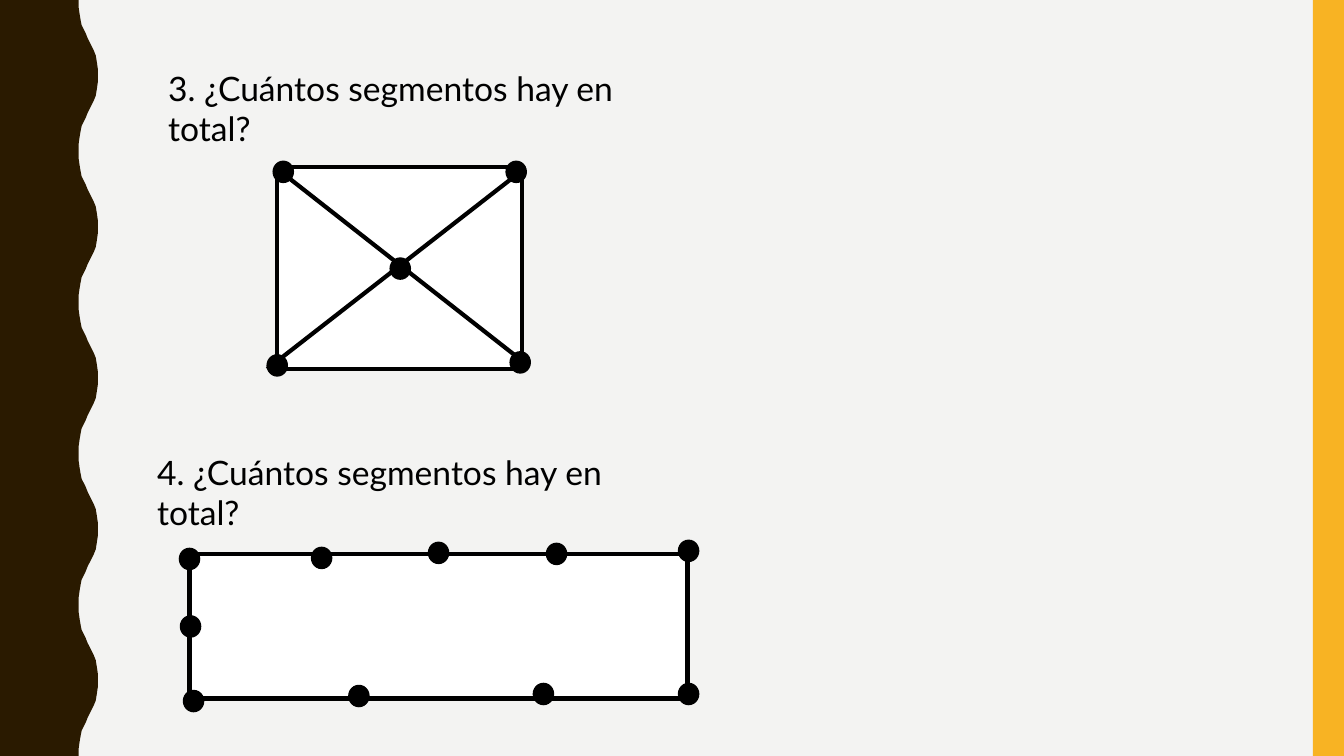
"""Build a slide with two segment-counting exercises."""
import pptx
import pptx.util
import pptx.dml.color
import pptx.enum.shapes
import pptx.enum.text
import pptx.oxml

Inches = pptx.util.Inches
Pt = pptx.util.Pt
MSO_SHAPE = pptx.enum.shapes.MSO_SHAPE


def color(value):
    return pptx.dml.color.RGBColor.from_string(value)


def add_shape(kind, x, y, w, h, fill, line=None):
    sp = s.shapes.add_shape(kind, Inches(x), Inches(y), Inches(w), Inches(h))
    sp.shadow.inherit = False
    sp.fill.solid()
    sp.fill.fore_color.rgb = color(fill)
    if line:
        sp.line.color.rgb = color("000000")
        sp.line.width = Pt(line)
    else:
        sp.line.fill.background()


prs = pptx.Presentation()
prs.slide_width = Inches(13.33)
prs.slide_height = Inches(7.5)
s = prs.slides.add_slide(prs.slide_layouts[6])
s.background.fill.solid()
s.background.fill.fore_color.rgb = color("F3F3F2")

half_wave = [(0.78, 0), (0.78, 0.07), (0.79, 0.14), (0.8, 0.2), (0.81, 0.25),
             (0.83, 0.29), (0.85, 0.33), (0.87, 0.38), (0.89, 0.42), (0.91, 0.46),
             (0.93, 0.5), (0.95, 0.55), (0.96, 0.61), (0.97, 0.68), (0.97, 0.75)]
wave = half_wave + [(x, 1.5 - y) for x, y in half_wave[-2::-1]]
points = [(x, y + 1.5 * i) for i in range(5) for x, y in wave] + [(0, 7.5)]
fb = s.shapes.build_freeform(0, 0)
fb.add_line_segments([(Inches(x), Inches(y)) for x, y in points], close=True)
sp = fb.convert_to_shape()
sp.shadow.inherit = False
sp.fill.solid()
sp.fill.fore_color.rgb = color("2A1A00")
sp.line.fill.background()

add_shape(MSO_SHAPE.RECTANGLE, 13.02, 0, 0.31, 7.5, "F8B323")

for x, y, text in [(1.57, 0.62, "3. ¿Cuántos segmentos hay en total?"),
                   (1.46, 4.43, "4. ¿Cuántos segmentos hay en total?")]:
    tf = s.shapes.add_textbox(Inches(x), Inches(y), Inches(5.1), Inches(0.5)).text_frame
    tf.word_wrap = True
    tf.auto_size = pptx.enum.text.MSO_AUTO_SIZE.SHAPE_TO_FIT_TEXT
    r = tf.paragraphs[0].add_run()
    r.text = text
    r.font.name = "Lato"
    r.font.size = Pt(24)
    r.font.color.rgb = color("000000")

square_dots = [(2.71, 1.6), (5.02, 1.6), (2.65, 3.52), (5.06, 3.49), (3.87, 2.56)]
diagonals = [(5.09, 1.76, 2.65, 3.66), (2.87, 1.77, 5.14, 3.55)]
strip_dots = [(1.78, 5.44), (3.09, 5.43), (4.25, 5.38), (5.42, 5.39), (6.73, 5.36),
              (6.73, 6.78), (1.82, 6.85), (3.46, 6.8), (5.29, 6.78), (1.79, 6.11)]

for box, lines, dots in [((2.75, 1.66, 2.43, 2), diagonals, square_dots),
                         ((1.88, 5.5, 4.94, 1.43), [], strip_dots)]:
    add_shape(MSO_SHAPE.RECTANGLE, *box, "FFFFFF", 3)
    for ends in lines:
        cn = s.shapes.add_connector(pptx.enum.shapes.MSO_CONNECTOR.STRAIGHT,
                                    *[Inches(v) for v in ends])
        cn.line.color.rgb = color("000000")
        cn.line.width = Pt(3)
        cn._element.spPr.append(pptx.oxml.parse_xml(
            '<a:effectLst xmlns:a="http://schemas.openxmlformats.org/drawingml/2006/main"/>'))
    for x, y in dots:
        add_shape(MSO_SHAPE.OVAL, x, y, 0.2, 0.21, "000000", 1)

prs.save("out.pptx")
